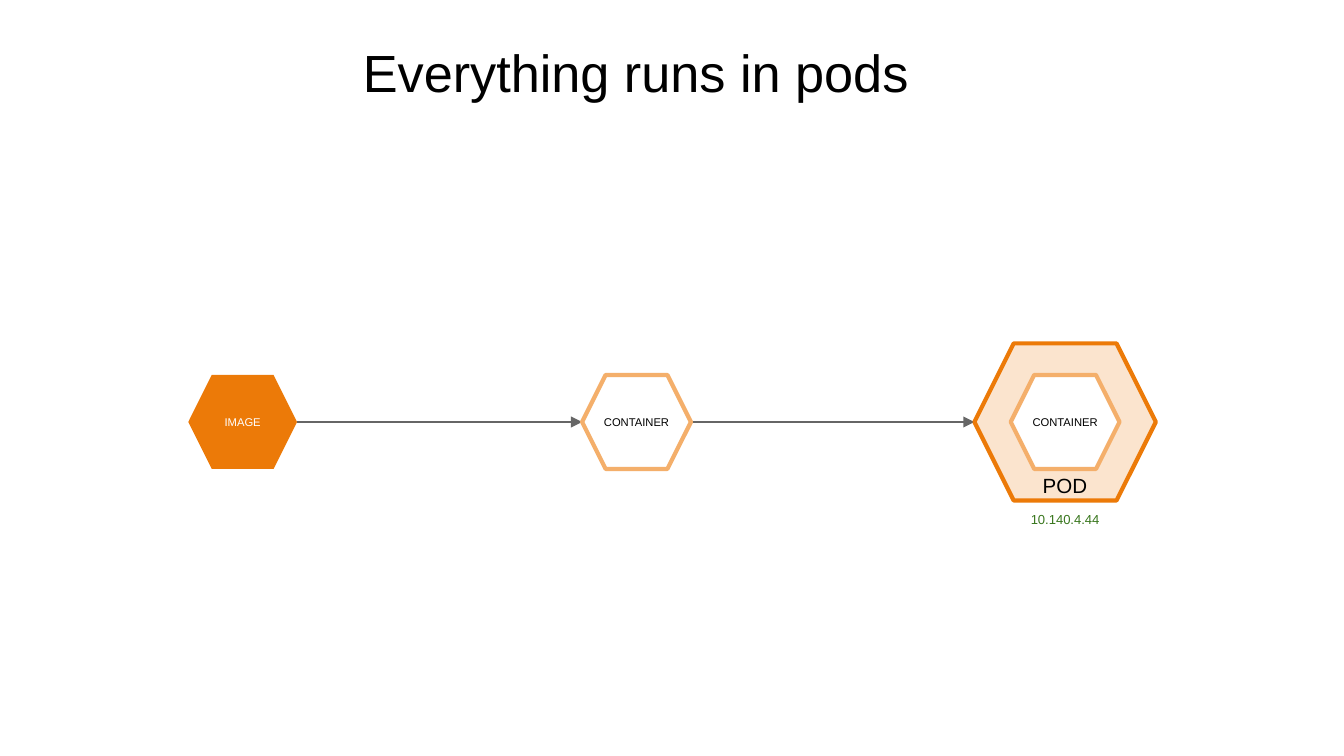
"""Build a slide that shows an image becoming a container that runs in a pod."""
from lxml.etree import SubElement
from pptx import Presentation
from pptx.dml.color import RGBColor
from pptx.enum.shapes import MSO_CONNECTOR, MSO_SHAPE
from pptx.enum.text import MSO_ANCHOR, PP_ALIGN
from pptx.oxml.ns import qn
from pptx.util import Pt

BLACK = RGBColor(0x00, 0x00, 0x00)
WHITE = RGBColor(0xFF, 0xFF, 0xFF)
ORANGE = RGBColor(0xEC, 0x7A, 0x08)
LIGHT_ORANGE = RGBColor(0xF4, 0xAF, 0x6B)
PALE_ORANGE = RGBColor(0xFB, 0xE4, 0xCE)
GRAY = RGBColor(0x66, 0x66, 0x66)
GREEN = RGBColor(0x38, 0x76, 0x1D)

MIDDLE = 226.1
IMAGE_X, CONTAINER_X, POD_X = 130, 341, 570.6
SMALL = (58.3, 50.4)
LARGE = (97.2, 84.2)


def set_text(box, text, size, color, alignment, inset, frame_format):
    """Write one formatted paragraph into a shape."""
    frame = box.text_frame
    frame_values = {"word_wrap": True, **frame_format}
    for side in ("left", "top", "right", "bottom"):
        frame_values[f"margin_{side}"] = Pt(inset)
    for name, value in frame_values.items():
        setattr(frame, name, value)
    paragraph = frame.paragraphs[0]
    paragraph.alignment = alignment
    span = paragraph.add_run()
    span.text = text
    for name, value in {"name": "Arial", "size": Pt(size), "bold": False}.items():
        setattr(span.font, name, value)
    span.font.color.rgb = color


deck = Presentation()
deck.slide_width, deck.slide_height = Pt(720), Pt(405)
page = deck.slides.add_slide(deck.slide_layouts[5])

title = page.shapes.title
title_place = {"left": 187.2, "top": 12.24, "width": 512.64, "height": 56.88}
for name, value in title_place.items():
    setattr(title, name, Pt(value))
set_text(title, "Everything runs in pods", 28, BLACK, PP_ALIGN.LEFT, 7.2,
         {"vertical_anchor": MSO_ANCHOR.MIDDLE})
title.text_frame.paragraphs[0].line_spacing = 0.9

arrows = [
    (IMAGE_X + SMALL[0] / 2, CONTAINER_X - SMALL[0] / 2),
    (CONTAINER_X + SMALL[0] / 2, POD_X - LARGE[0] / 2),
]
for start, end in arrows:
    arrow = page.shapes.add_connector(
        MSO_CONNECTOR.STRAIGHT, Pt(start), Pt(MIDDLE), Pt(end), Pt(MIDDLE))
    arrow.line.color.rgb = GRAY
    arrow.line.width = Pt(0.75)
    SubElement(arrow.line._get_or_add_ln(), qn("a:tailEnd"), type="triangle")
    SubElement(arrow._element.spPr, qn("a:effectLst"))

hexagons = [
    (IMAGE_X, SMALL, ORANGE, None, "IMAGE", WHITE),
    (CONTAINER_X, SMALL, WHITE, LIGHT_ORANGE, "CONTAINER", BLACK),
    (POD_X, LARGE, PALE_ORANGE, ORANGE, None, None),
    (POD_X, SMALL, WHITE, LIGHT_ORANGE, "CONTAINER", BLACK),
]
for center, (width, height), fill, outline, text, color in hexagons:
    hexagon = page.shapes.add_shape(
        MSO_SHAPE.HEXAGON, Pt(center - width / 2), Pt(MIDDLE - height / 2),
        Pt(width), Pt(height))
    hexagon.adjustments[0] = 0.25
    hexagon.shadow.inherit = False
    hexagon.fill.solid()
    hexagon.fill.fore_color.rgb = fill
    if outline:
        hexagon.line.color.rgb = outline
        hexagon.line.width = Pt(2.25)
    else:
        hexagon.line.fill.background()
    if text:
        set_text(hexagon, text, 6, color, PP_ALIGN.CENTER, 0,
                 {"vertical_anchor": MSO_ANCHOR.MIDDLE})

labels = [
    ("POD", 253.3, 12.6, 11, BLACK, 0),
    ("10.140.4.44", 270, 18.7, 7, GREEN, 7.2),
]
for text, top, height, size, color, inset in labels:
    label = page.shapes.add_textbox(
        Pt(POD_X - 26), Pt(top), Pt(52), Pt(height))
    set_text(label, text, size, color, PP_ALIGN.CENTER, inset,
             {"vertical_anchor": MSO_ANCHOR.TOP})

deck.save("out.pptx")
